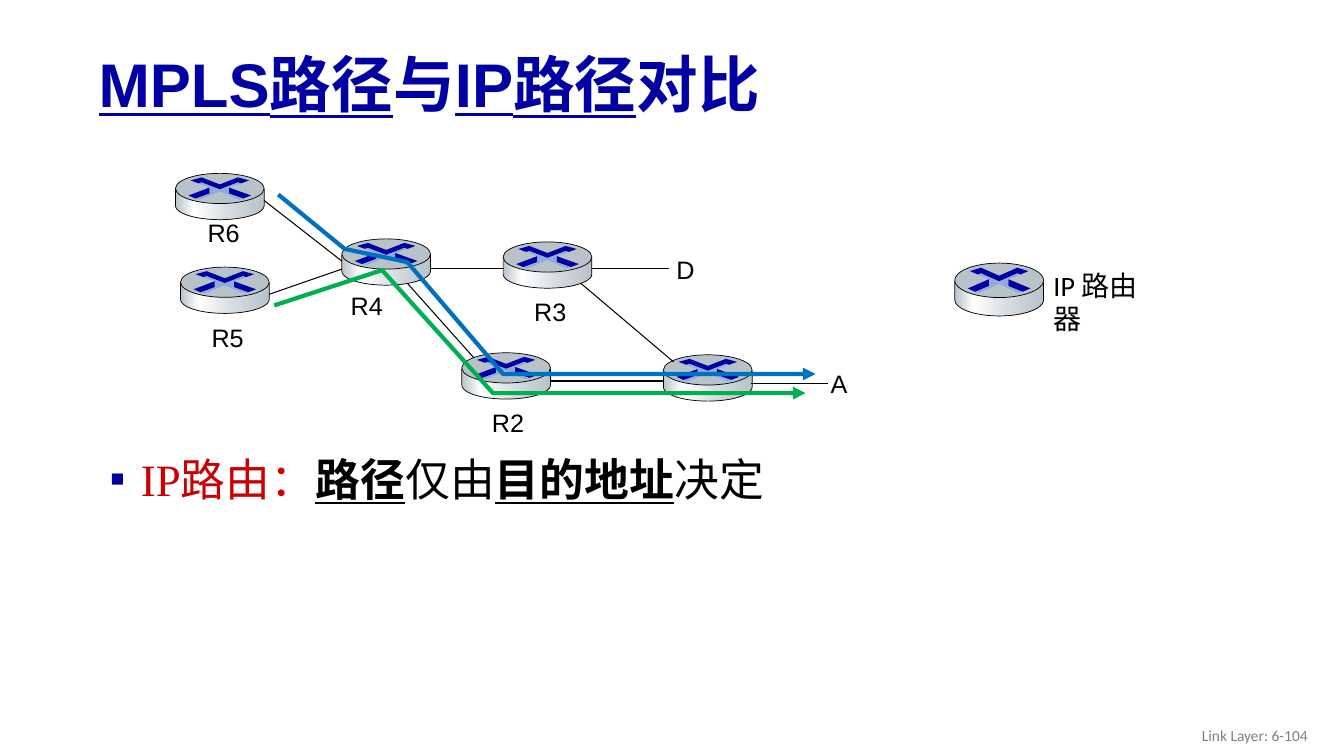
import math

import lxml.etree
import pptx
import pptx.dml.color
import pptx.enum.shapes
import pptx.enum.text
import pptx.oxml.ns
import pptx.util

Inches = pptx.util.Inches
Pt = pptx.util.Pt
qn = pptx.oxml.ns.qn
ALIGN = pptx.enum.text.PP_ALIGN
ANCHOR = pptx.enum.text.MSO_ANCHOR

NAVY, STEEL, BLACK, RED = "0000A3", "B8C2C9", "000000", "CC0000"
STOPS = [(0, STEEL), (21, "FFFFFF"), (60, "D6DCE0"), (100, STEEL)]

# Router geometry, measured from the left and top of its lid
WIDTH, LID, DROP, CURVE = 0.88, 0.3, 0.32, 0.14
ARC = [(WIDTH / 2 * (1 + math.cos(a)), DROP + CURVE * math.sin(a))
       for a in (math.pi * i / 24 for i in range(25))]
SIDE = [(WIDTH, 0.16)] + ARC + [(0, 0.16)]
CHEVRON = [(0.62, 0.04), (0.73, 0.07), (0.65, 0.1), (0.62, 0.09), (0.44, 0.16),
           (0.26, 0.09), (0.23, 0.1), (0.15, 0.07), (0.26, 0.04), (0.44, 0.11)]
RIGHT = [(0.53, 0.14), (0.75, 0.22), (0.67, 0.25), (0.53, 0.2)]
LEFT = [(0.34, 0.14), (0.34, 0.2), (0.2, 0.25), (0.13, 0.22)]
GLOW = [(0.23, 0.1), (0.26, 0.09), (0.44, 0.16), (0.62, 0.09), (0.65, 0.1),
        (0.53, 0.14), (0.53, 0.2), (0.67, 0.25), (0.63, 0.26), (0.44, 0.18),
        (0.24, 0.26), (0.21, 0.25), (0.34, 0.2), (0.34, 0.14)]


def color(code):
    return pptx.dml.color.RGBColor.from_string(code)


def add_sub(parent, tag, **attrs):
    return lxml.etree.SubElement(parent, qn(tag), **attrs)


class Board:
    """Holds the slide and its drawing style."""

    def __init__(self, slide):
        self.slide = slide
        self.font = "Arial"
        self.thin = 0.75

    def text(self, box, runs, size, font=None, anchor=ANCHOR.TOP,
             align=ALIGN.LEFT, wrap=True, spacing=None, bullet=None):
        """Each run is (text, colour, bold, underline)."""
        frame = self.slide.shapes.add_textbox(*map(Inches, box)).text_frame
        frame.word_wrap = wrap
        frame.vertical_anchor = anchor
        para = frame.paragraphs[0]
        para.alignment = align
        if spacing:
            para.line_spacing = spacing
        if bullet:
            props = para._p.get_or_add_pPr()
            props.set("marL", str(Inches(0.31)))
            props.set("indent", str(-Inches(0.31)))
            add_sub(add_sub(props, "a:buClr"), "a:srgbClr", val="000099")
            add_sub(props, "a:buFont", typeface=self.font)
            add_sub(props, "a:buChar", char=bullet)
        for words, tint, bold, under in runs:
            run = para.add_run()
            run.text = words
            run.font.size = Pt(size)
            run.font.name = font or self.font
            run.font.color.rgb = color(tint)
            run.font.bold = bold
            run.font.underline = under

    def label(self, x, y, width, words):
        self.text((x, y, width, 0.4), [(words, BLACK, False, False)], 18, wrap=False)

    def link(self, start, end):
        line = self.slide.shapes.add_connector(
            pptx.enum.shapes.MSO_CONNECTOR.STRAIGHT, *map(Inches, start + end))
        line.line.color.rgb = color(BLACK)
        line.line.width = Pt(self.thin)
        add_sub(line._element.spPr, "a:effectLst")

    def outline(self, shapes, points, close=True):
        spots = [(Inches(x), Inches(y)) for x, y in points]
        pen = shapes.build_freeform(*spots[0])
        pen.add_line_segments(spots[1:], close=close)
        shape = pen.convert_to_shape()
        shape.shadow.inherit = False
        return shape

    def paint(self, shape, fill, edge=False):
        shape.shadow.inherit = False
        shape.fill.solid()
        shape.fill.fore_color.rgb = color(fill)
        self.edge(shape, edge)

    def edge(self, shape, edge):
        if edge:
            shape.line.color.rgb = color(BLACK)
            shape.line.width = Pt(0.5)
        else:
            shape.line.fill.background()

    def shade(self, shape):
        shape.fill.gradient()
        shape.fill.gradient_angle = 0
        stops = shape._element.spPr.find(qn("a:gradFill")).find(qn("a:gsLst"))
        for stop in list(stops):
            stops.remove(stop)
        for place, tint in STOPS:
            stop = add_sub(stops, "a:gs", pos=str(place * 1000))
            add_sub(stop, "a:srgbClr", val=tint)
        self.edge(shape, True)

    def router(self, x, y, tall=1):
        shapes = self.slide.shapes.add_group_shape().shapes

        def place(points):
            return [(x + dx, y + dy * tall) for dx, dy in points]

        self.shade(self.outline(shapes, place(SIDE)))
        lid = shapes.add_shape(pptx.enum.shapes.MSO_SHAPE.OVAL,
                               *map(Inches, (x, y, WIDTH, LID * tall)))
        self.paint(lid, STEEL, True)
        for points, fill in ((CHEVRON, NAVY), (RIGHT, NAVY),
                             (LEFT, "0000A8"), (GLOW, "8FAADC")):
            self.paint(self.outline(shapes, place(points)), fill)

    def route(self, points, tint):
        shape = self.outline(self.slide.shapes, points, close=False)
        shape.fill.background()
        shape.line.color.rgb = color(tint)
        shape.line.width = Pt(3)
        add_sub(shape._element.spPr.find(qn("a:ln")), "a:tailEnd", type="triangle")


def main():
    deck = pptx.Presentation()
    deck.slide_width, deck.slide_height = Inches(13.33), Inches(7.5)
    board = Board(deck.slides.add_slide(deck.slide_layouts[6]))

    # Title and footer
    board.text((0.88, 0.38, 11.5, 0.98),
               [("MPLS路径", NAVY, True, True), ("与", NAVY, True, False),
                ("IP路径", NAVY, True, True), ("对比", NAVY, True, False)],
               44, anchor=ANCHOR.MIDDLE, spacing=0.9)
    board.text((10.07, 7.1, 3, 0.4), [("Link Layer: 6-104", "808080", False, False)],
               11, "Calibri", ANCHOR.MIDDLE, ALIGN.RIGHT)

    # Routers under the links
    for x, y in ((3.39, 2.37), (4.99, 2.4), (4.58, 3.5), (6.58, 3.52)):
        board.router(x, y)

    # Links
    for start, end in (((2.57, 1.95), (3.39, 2.59)), ((2.64, 2.93), (3.39, 2.67)),
                       ((4.27, 2.66), (5, 2.66)), ((4.04, 2.81), (4.7, 3.55)),
                       ((5.45, 3.78), (6.58, 3.78)), ((5.76, 2.81), (6.68, 3.59)),
                       ((7.45, 3.8), (8.21, 3.8)), ((5.87, 2.66), (6.64, 2.66))):
        board.link(start, end)

    # Routers over the links
    for x, y in ((1.74, 1.72), (1.79, 2.65)):
        board.router(x, y)

    # Node names
    for x, y, width, words in ((4.78, 3.99, 0.52, "R2"), (6.61, 2.47, 0.38, "D"),
                               (5.2, 2.89, 0.52, "R3"), (2, 3.15, 0.52, "R5"),
                               (8.14, 3.6, 0.37, "A"), (1.96, 2.11, 0.52, "R6"),
                               (3.38, 2.83, 0.52, "R4")):
        board.label(x, y, width, words)

    # Routes from R6 and R5 to A
    board.route([(2.76, 1.93), (3.42, 2.47), (4.04, 2.6), (4.99, 3.71), (8.09, 3.71)],
                "0070C0")
    board.route([(2.72, 3.03), (3.79, 2.68), (4.89, 3.9), (7.99, 3.9)], "00B050")

    # Statement
    board.text((0.99, 4.51, 12.17, 0.62),
               [("IP路由：", RED, False, False), ("路径", BLACK, True, True),
                ("仅由", BLACK, False, False), ("目的地址", BLACK, True, True),
                ("决定", BLACK, False, False)],
               32, "Times New Roman", spacing=0.85, bullet="▪")

    # Legend
    board.text((10.35, 2.61, 1.12, 0.44), [("IP 路由器", BLACK, False, False)],
               20, "Calibri")
    board.router(9.47, 2.61, 1.14)

    deck.save("out.pptx")


if __name__ == "__main__":
    main()
